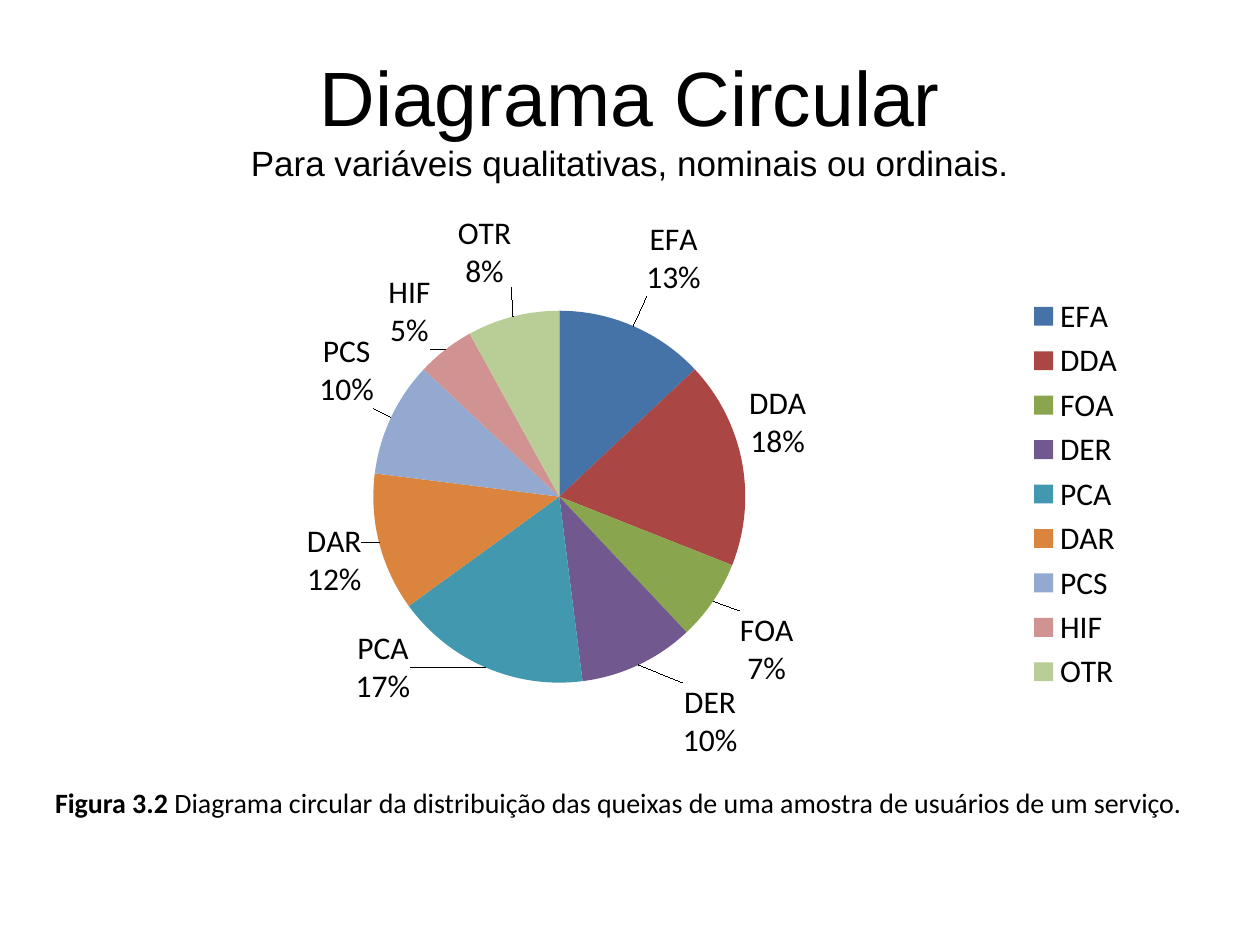
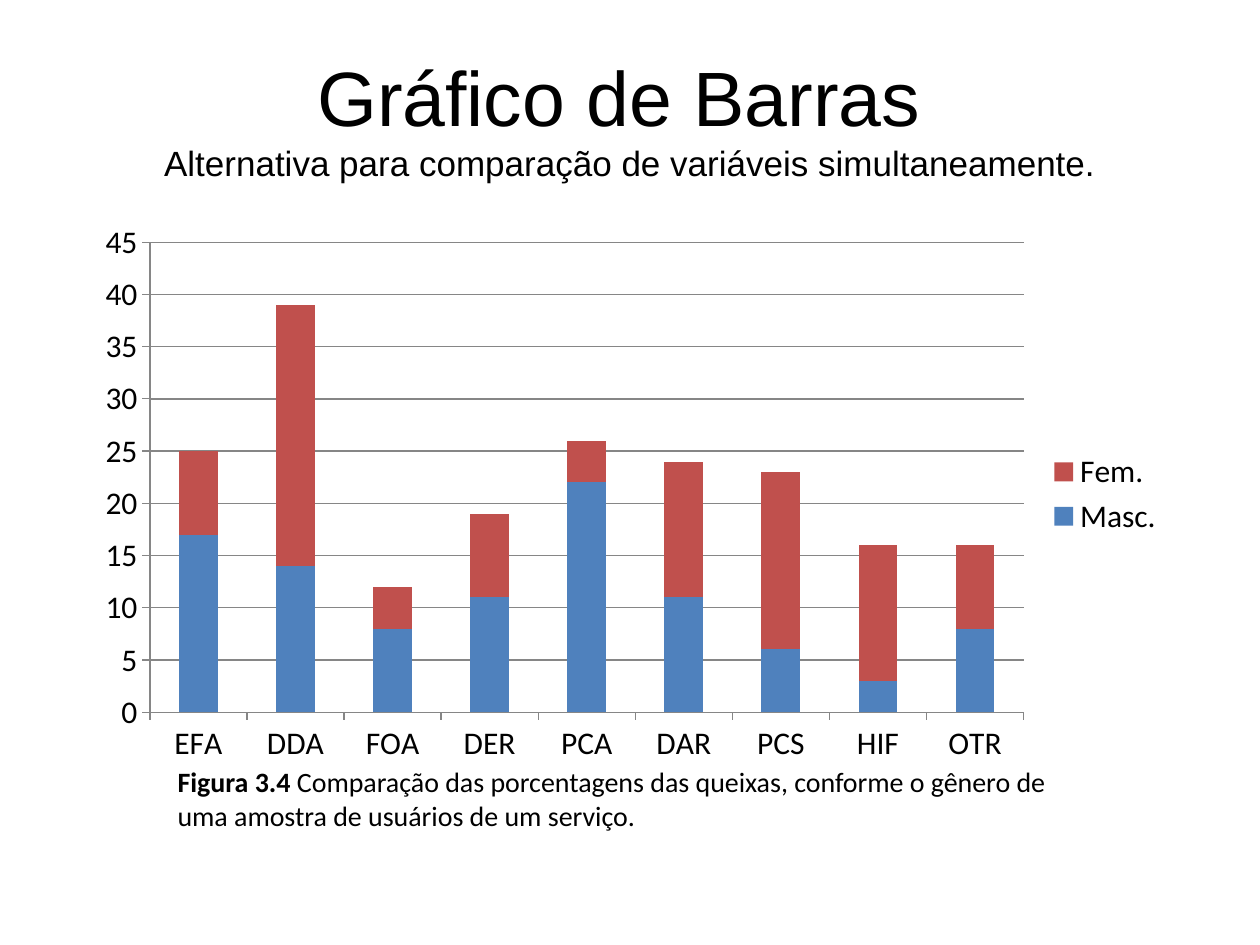
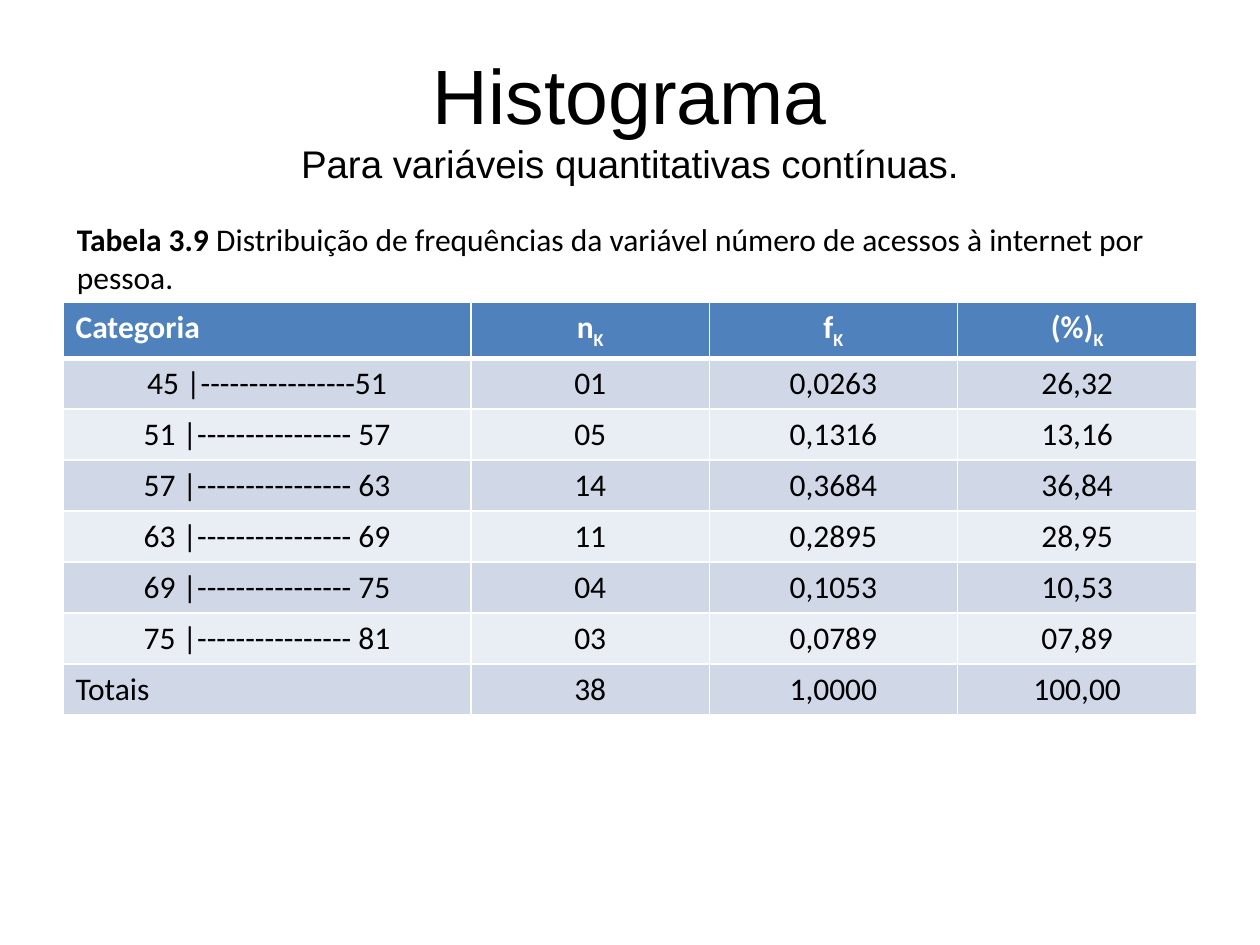
import pptx
import pptx.chart.data
import pptx.dml.color
import pptx.enum.chart
import pptx.enum.text
import pptx.oxml
import pptx.oxml.ns
import pptx.util

Cm = pptx.util.Cm
Pt = pptx.util.Pt
RGBColor = pptx.dml.color.RGBColor
CHART = pptx.enum.chart
CENTER = pptx.enum.text.PP_ALIGN.CENTER
MIDDLE = pptx.enum.text.MSO_ANCHOR.MIDDLE
NS = pptx.oxml.ns.nsdecls

BLACK = RGBColor(0x00, 0x00, 0x00)
WHITE = RGBColor(0xFF, 0xFF, 0xFF)
GRAY = RGBColor(0x86, 0x86, 0x86)
BLUE = RGBColor(0x4F, 0x81, 0xBD)
RED = RGBColor(0xC0, 0x50, 0x4D)
BANDS = (RGBColor(0xD0, 0xD8, 0xE8), RGBColor(0xE9, 0xED, 0xF4))
SLICES = (
    RGBColor(0x45, 0x72, 0xA7), RGBColor(0xAA, 0x46, 0x43), RGBColor(0x89, 0xA5, 0x4E),
    RGBColor(0x71, 0x58, 0x8F), RGBColor(0x41, 0x98, 0xAF), RGBColor(0xDB, 0x84, 0x3D),
    RGBColor(0x93, 0xA9, 0xCF), RGBColor(0xD1, 0x93, 0x92), RGBColor(0xB9, 0xCD, 0x96),
)

HEAD = "Arial"
BODY = "Calibri"
TITLE_BOX = (1.27, 0.76, 22.86, 3.18)

NAMES = ("EFA", "DDA", "FOA", "DER", "PCA", "DAR", "PCS", "HIF", "OTR")
SHARES = (13, 18, 7, 10, 17, 12, 10, 5, 8)
# Label shifts as shares of the chart's width and height
SHIFTS = ((0.01, -0.04), (0, 0), (0.02, 0.01), (0.04, 0.02), (-0.07, -0.08),
          (-0.01, -0.04), (-0.01, -0.01), (-0.01, 0.01), (0, -0.04))
MEN = (17, 14, 8, 11, 22, 11, 6, 3, 8)
WOMEN = (8, 25, 4, 8, 4, 13, 17, 13, 8)

COLS = (3.24, 1.89, 1.97, 1.9)
ROWS = (
    ("Categoria", "n", "f", "(%)"),
    ("45 |----------------51", "01", "0,0263", "26,32"),
    ("51 |---------------- 57", "05", "0,1316", "13,16"),
    ("57 |---------------- 63", "14", "0,3684", "36,84"),
    ("63 |---------------- 69", "11", "0,2895", "28,95"),
    ("69 |---------------- 75", "04", "0,1053", "10,53"),
    ("75 |---------------- 81", "03", "0,0789", "07,89"),
    ("Totais", "38", "1,0000", "100,00"),
)


def place(box):
    return [Cm(side) for side in box]


def style(font, name, size, color=BLACK):
    font.name = name
    font.size = Pt(size)
    font.color.rgb = color


def add_title(slide, text, note, size=20):
    frame = slide.shapes.add_textbox(*place(TITLE_BOX)).text_frame
    frame.word_wrap = True
    frame.vertical_anchor = MIDDLE
    para = frame.paragraphs[0]
    para.alignment = CENTER
    style(para.font, HEAD, 44)
    para.add_run().text = text
    para.add_line_break()
    run = para.add_run()
    run.text = note
    run.font.size = Pt(size)


def add_note(slide, box, label, lines, size=16, wrap=False):
    """Caption with a bold label before its first line."""
    frame = slide.shapes.add_textbox(*place(box)).text_frame
    frame.word_wrap = wrap
    frame.auto_size = pptx.enum.text.MSO_AUTO_SIZE.SHAPE_TO_FIT_TEXT
    for i, line in enumerate(lines):
        para = frame.add_paragraph() if i else frame.paragraphs[0]
        style(para.font, BODY, size)
        if i == 0:
            run = para.add_run()
            run.text = label
            run.font.bold = True
        para.add_run().text = line


def add_chart(slide, box, kind, series):
    data = pptx.chart.data.CategoryChartData()
    data.categories = NAMES
    for name, values in series:
        data.add_series(name, values)
    chart = slide.shapes.add_chart(kind, *place(box), data).chart
    style(chart.font, BODY, 18)
    chart.has_title = False
    chart.has_legend = True
    chart.legend.position = CHART.XL_LEGEND_POSITION.RIGHT
    chart.legend.include_in_layout = False
    return chart


def fix_plot(chart, x, y, w, h):
    """Pin the inner plot area, in shares of the chart."""
    area = chart._chartSpace.chart.plotArea
    for old in area.findall(pptx.oxml.ns.qn("c:layout")):
        area.remove(old)
    sides = "".join(f'<c:{key} val="{val}"/>' for key, val in
                    (("x", x), ("y", y), ("w", w), ("h", h)))
    area.insert(0, pptx.oxml.parse_xml(
        f'<c:layout {NS("c")}><c:manualLayout><c:layoutTarget val="inner"/>'
        f'<c:xMode val="edge"/><c:yMode val="edge"/>{sides}'
        '</c:manualLayout></c:layout>'))


def move_tag(tags, i, shift):
    """Show one slice's name and share, moved by the shift."""
    x, y = shift
    tags.insert(i, pptx.oxml.parse_xml(
        f'<c:dLbl {NS("c")}><c:idx val="{i}"/><c:layout><c:manualLayout>'
        f'<c:x val="{x}"/><c:y val="{y}"/></c:manualLayout></c:layout>'
        '<c:dLblPos val="outEnd"/><c:showLegendKey val="0"/><c:showVal val="0"/>'
        '<c:showCatName val="1"/><c:showSerName val="0"/><c:showPercent val="1"/>'
        '<c:showBubbleSize val="0"/><c:separator>\n</c:separator></c:dLbl>'))


def add_pie(slide, box):
    chart = add_chart(slide, box, CHART.XL_CHART_TYPE.PIE, [("Series 1", SHARES)])
    fix_plot(chart, 0.26, 0.17, 0.36, 0.67)
    chart.plots[0].vary_by_categories = True
    series = chart.plots[0].series[0]
    labels = series.data_labels
    labels.show_value = False
    labels.show_category_name = True
    labels.show_percentage = True
    labels.position = CHART.XL_LABEL_POSITION.OUTSIDE_END
    style(labels.font, BODY, 18)
    for i, (color, shift) in enumerate(zip(SLICES, SHIFTS)):
        fill = series.points[i].format.fill
        fill.solid()
        fill.fore_color.rgb = color
        move_tag(labels._element, i, shift)


def add_bars(slide, box):
    chart = add_chart(slide, box, CHART.XL_CHART_TYPE.COLUMN_STACKED,
                      [("Masc.", MEN), ("Fem.", WOMEN)])
    fix_plot(chart, 0.06, 0.05, 0.8, 0.84)
    plot = chart.plots[0]
    plot.vary_by_categories = False
    plot.gap_width = 150
    plot.overlap = 100
    for series, color in zip(plot.series, (BLUE, RED)):
        series.format.fill.solid()
        series.format.fill.fore_color.rgb = color
    scale = chart.value_axis
    scale.minimum_scale = 0
    scale.maximum_scale = 45
    scale.major_unit = 5
    scale.has_major_gridlines = True
    for axis in (chart.category_axis, scale):
        axis.major_tick_mark = CHART.XL_TICK_MARK.OUTSIDE
        axis.minor_tick_mark = CHART.XL_TICK_MARK.NONE
    for part in (chart.category_axis, scale, scale.major_gridlines):
        part.format.line.color.rgb = GRAY
        part.format.line.width = Pt(0.75)


def edge(cell, top, bottom):
    """White borders, with widths in points above and below."""
    prop = cell._tc.get_or_add_tcPr()
    for i, (side, width) in enumerate(
            (("L", 1), ("R", 1), ("T", top), ("B", bottom))):
        prop.insert(i, pptx.oxml.parse_xml(
            f'<a:ln{side} {NS("a")} w="{Pt(width)}"><a:solidFill>'
            f'<a:srgbClr val="{WHITE}"/></a:solidFill></a:ln{side}>'))


def fill_cell(cell, text, row, col):
    head = row == 0
    cell.fill.solid()
    cell.fill.fore_color.rgb = BLUE if head else BANDS[(row - 1) % 2]
    edge(cell, 3 if row == 1 else 1, 3 if head else 1)
    para = cell.text_frame.paragraphs[0]
    if col or 0 < row < len(ROWS) - 1:
        para.alignment = CENTER
    style(para.font, BODY, 18, WHITE if head else BLACK)
    para.font.bold = head
    para.add_run().text = text
    if head and col:
        run = para.add_run()
        run.text = "K"
        run._r.get_or_add_rPr().set("baseline", "-25000")


def add_grid(slide, box):
    table = slide.shapes.add_table(len(ROWS), len(COLS), *place(box)).table
    for col, part in zip(table.columns, COLS):
        col.width = Cm(box[2] * part / sum(COLS))
    for r, row in enumerate(ROWS):
        for c, text in enumerate(row):
            fill_cell(table.cell(r, c), text, r, c)


def main():
    deck = pptx.Presentation()
    deck.slide_width = Cm(25.4)
    deck.slide_height = Cm(19.05)
    pie, bars, grid = (deck.slides.add_slide(deck.slide_layouts[6]) for _ in range(3))

    add_title(pie, "Diagrama Circular",
              "Para variáveis qualitativas, nominais ou ordinais.")
    add_pie(pie, (2.11, 4.32, 20.83, 11.28))
    add_note(pie, (0.86, 15.72, 23.44, 0.94), "Figura 3.2 ",
             ["Diagrama circular da distribuição das queixas de uma amostra "
              "de usuários de um serviço."])

    add_title(bars, "Gráfico de Barras ",
              "Alternativa para comparação de variáveis simultaneamente.")
    add_bars(bars, (1.7, 4.32, 22.02, 11.28))
    add_note(bars, (3.33, 15.29, 18.36, 1.63), "Figura 3.4",
             [" Comparação das porcentagens das queixas, conforme o gênero de",
              "uma amostra de usuários de um serviço."])

    add_title(grid, "Histograma", "Para variáveis quantitativas contínuas.", 22)
    add_grid(grid, (1.27, 6.1, 22.86, 8.23))
    add_note(grid, (1.3, 4.32, 22.61, 1.8), "Tabela 3.9 ",
             ["Distribuição de frequências da variável número de acessos "
              "à internet por pessoa."], 18, True)

    deck.save("out.pptx")


if __name__ == "__main__":
    main()
